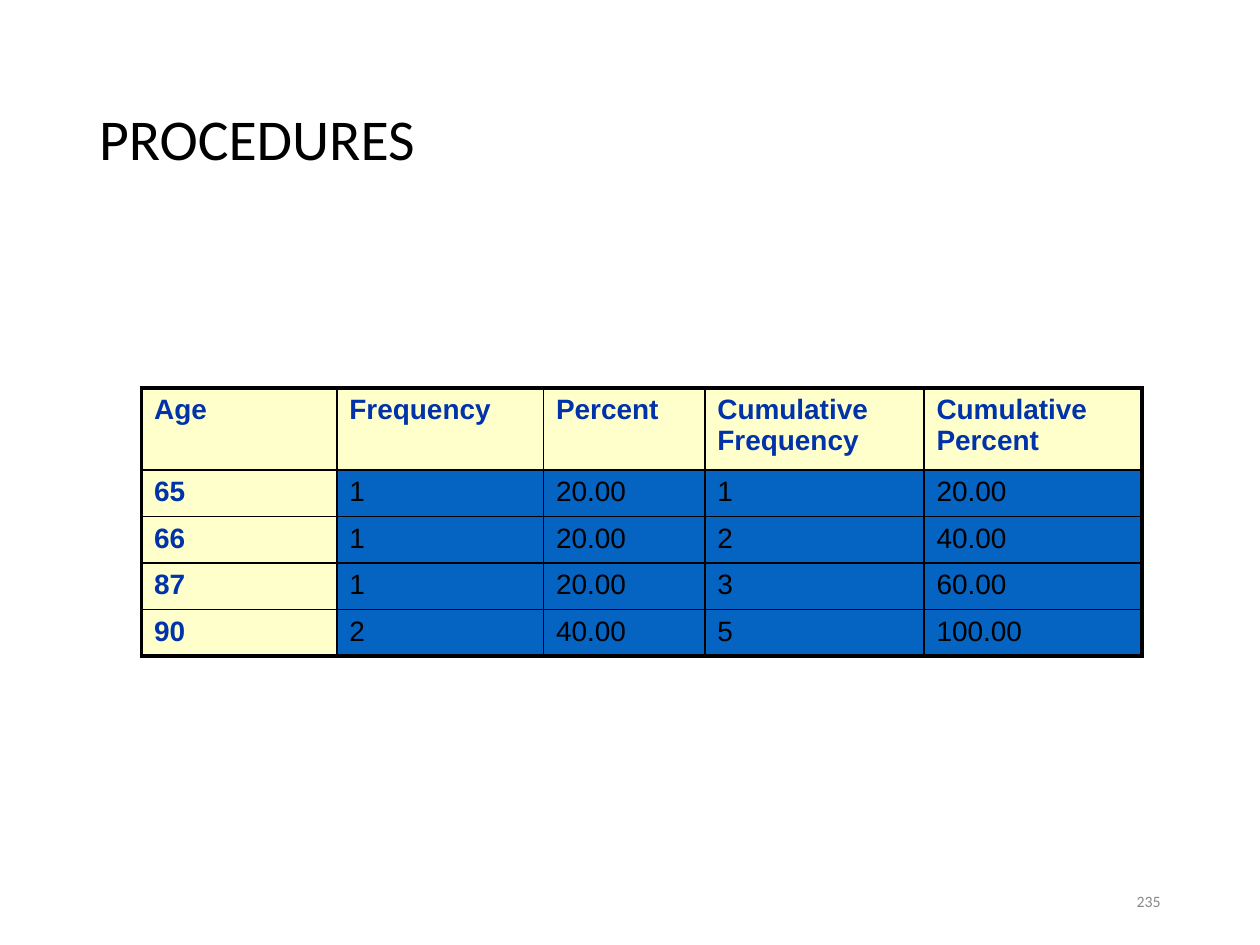
import pptx
import pptx.util
import pptx.dml.color
import pptx.enum.text
import pptx.oxml.ns
import lxml.etree

Pt = pptx.util.Pt
ANCHOR = pptx.enum.text.MSO_ANCHOR
ALIGN = pptx.enum.text.PP_ALIGN

TITLE = "PROCEDURES"
NUMBER = "235"
ROWS = [
    ("Age", "Frequency", "Percent", "Cumulative\nFrequency", "Cumulative\nPercent"),
    ("65", "1", "20.00", "1", "20.00"),
    ("66", "1", "20.00", "2", "40.00"),
    ("87", "1", "20.00", "3", "60.00"),
    ("90", "2", "40.00", "5", "100.00"),
]
WIDTHS = [111.6, 118.1, 92.2, 125.2, 124.6]
HEIGHTS = [46.8] + [26.6] * 4
LEFT, TOP = 80.9, 221.8
BLACK, NAVY, BLUE, CREAM, GRAY = "000000", "0033A9", "0563C1", "FFFFCC", "898989"
THIN, THICK = 1, 2.25


def color(code):
    return pptx.dml.color.RGBColor.from_string(code)


def write(para, text, size, face, ink, bold=False):
    para.text = text
    for run in para.runs:
        font = run.font
        font.size, font.name, font.bold = Pt(size), face, bold
        font.color.rgb = color(ink)


def label(slide, box, text, size, ink, align=ALIGN.LEFT):
    frame = slide.shapes.add_textbox(*map(Pt, box)).text_frame
    frame.word_wrap = True
    frame.vertical_anchor = ANCHOR.MIDDLE
    para = frame.paragraphs[0]
    para.alignment = align
    write(para, text, size, "Calibri", ink)
    return para


def border(cell, side, width):
    """Draw one edge (L, R, T or B) of a cell in black."""
    name = pptx.oxml.ns.qn
    props = cell._tc.get_or_add_tcPr()
    line = lxml.etree.SubElement(props, name("a:ln" + side), w=str(int(Pt(width))))
    fill = lxml.etree.SubElement(line, name("a:solidFill"))
    lxml.etree.SubElement(fill, name("a:srgbClr"), val=BLACK)


def grid(slide):
    last, end = len(ROWS) - 1, len(WIDTHS) - 1
    box = LEFT, TOP, sum(WIDTHS), sum(HEIGHTS)
    table = slide.shapes.add_table(len(ROWS), len(WIDTHS), *map(Pt, box)).table
    table.horz_banding = False
    for col, width in zip(table.columns, WIDTHS):
        col.width = Pt(width)
    for row, height in zip(table.rows, HEIGHTS):
        row.height = Pt(height)
    for r, texts in enumerate(ROWS):
        for c, text in enumerate(texts):
            cell = table.cell(r, c)
            head = r == 0 or c == 0
            outer = {"L": c == 0, "R": c == end, "T": r == 0, "B": r == last}
            for side, edge in outer.items():
                border(cell, side, THICK if edge else THIN)
            cell.fill.solid()
            cell.fill.fore_color.rgb = color(CREAM if head else BLUE)
            para = cell.text_frame.paragraphs[0]
            write(para, text, 16, "Arial", NAVY if head else BLACK, head)


def main():
    deck = pptx.Presentation()
    deck.slide_width, deck.slide_height = Pt(720), Pt(540)
    slide = deck.slides.add_slide(deck.slide_layouts[6])
    title = label(slide, (49.5, 28.8, 620.6, 104.4), TITLE, 33, BLACK)
    title.line_spacing = 0.9
    grid(slide)
    label(slide, (508.3, 500.4, 162, 28.8), NUMBER, 9, GRAY, ALIGN.RIGHT)
    deck.save("out.pptx")


if __name__ == "__main__":
    main()
